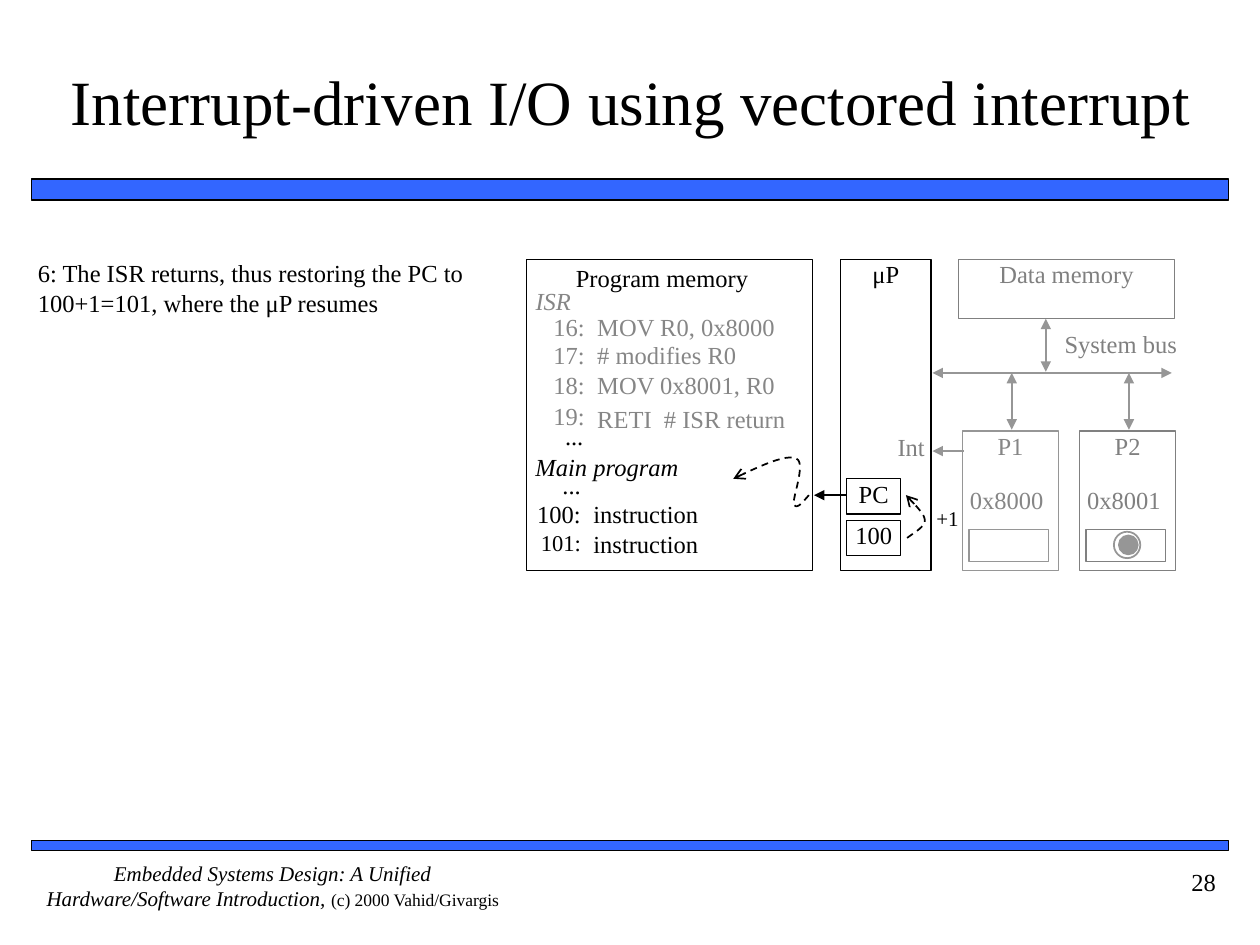
from lxml import etree
from pptx import Presentation
from pptx.dml.color import RGBColor
from pptx.enum.dml import MSO_LINE
from pptx.enum.shapes import MSO_CONNECTOR, MSO_SHAPE
from pptx.enum.text import MSO_ANCHOR, MSO_AUTO_SIZE, PP_ALIGN
from pptx.oxml.ns import qn
from pptx.util import Pt

PX = 9144  # EMU in one px, 100 px to the inch
FACE = "Times New Roman"
BLACK = RGBColor(0x00, 0x00, 0x00)
WHITE = RGBColor(0xFF, 0xFF, 0xFF)
BLUE = RGBColor(0x33, 0x66, 0xFF)
LIGHT = RGBColor(0x96, 0x96, 0x96)
GRAY = RGBColor(0x80, 0x80, 0x80)
SOFT = RGBColor(0x86, 0x86, 0x86)
LEFT, MID, RIGHT = PP_ALIGN.LEFT, PP_ALIGN.CENTER, PP_ALIGN.RIGHT
TOP, CENTER = MSO_ANCHOR.TOP, MSO_ANCHOR.MIDDLE
FIXED = MSO_AUTO_SIZE.NONE
RECT, OVAL = MSO_SHAPE.RECTANGLE, MSO_SHAPE.OVAL
STRAIGHT = MSO_CONNECTOR.STRAIGHT
DASH = MSO_LINE.DASH


def emu(*vals):
    return [round(val * PX) for val in vals]


def put(item, vals):
    for name, val in vals.items():
        setattr(item, name, val)


def write(frame, runs, align=LEFT, inset=(0, 0), before=0, anchor=TOP):
    """Fill a frame with one paragraph of (text, size, colour, italic) runs."""
    side, edge = emu(*inset)
    put(frame, {"word_wrap": True, "auto_size": FIXED, "vertical_anchor": anchor,
                "margin_left": side, "margin_right": side,
                "margin_top": edge, "margin_bottom": edge})
    para = frame.paragraphs[0]
    put(para, {"alignment": align, "space_before": Pt(before)})
    for text, size, color, slant in runs:
        run = para.add_run()
        run.text = text
        put(run.font, {"name": FACE, "size": Pt(size), "italic": slant})
        run.font.color.rgb = color


def label(slide, text, box, color=BLACK, align=LEFT, size=14, slant=False, **form):
    area = slide.shapes.add_textbox(*emu(*box))
    write(area.text_frame, [(text, size, color, slant)], align, **form)


def shape(slide, box, line, fill=None, width=0.75, kind=RECT, text="", color=BLACK):
    item = slide.shapes.add_shape(kind, *emu(*box))
    item.shadow.inherit = False
    if fill is None:
        item.fill.background()
    else:
        item.fill.solid()
        item.fill.fore_color.rgb = fill
    item.line.color.rgb = line
    item.line.width = Pt(width)
    if text:
        write(item.text_frame, [(text, 14, color, False)], MID)


def tip(item, ends, kind):
    """Add arrowheads; ends holds "head", "tail" or both, in that order."""
    node = item._element.spPr.find(qn("a:ln"))
    for end in ends:
        etree.SubElement(node, qn(f"a:{end}End"), type=kind)


def arrow(slide, start, stop, color, width=1.25, ends=("head", "tail")):
    link = slide.shapes.add_connector(STRAIGHT, *emu(*start, *stop))
    link.line.color.rgb = color
    link.line.width = Pt(width)
    tip(link, ends, "triangle")
    etree.SubElement(link._element.spPr, qn("a:effectLst"))


def curve(slide, start, parts, steps=12):
    """Draw a dashed arrow along cubic Bezier parts, each of three points."""
    dots, last = [], start
    for one, two, stop in parts:
        for step in range(1, steps + 1):
            t = step / steps
            u = 1 - t
            dots.append(emu(*(
                u**3 * a + 3 * u * u * t * b + 3 * u * t * t * c + t**3 * d
                for a, b, c, d in zip(last, one, two, stop))))
        last = stop
    build = slide.shapes.build_freeform(*emu(*start))
    build.add_line_segments(dots, close=False)
    item = build.convert_to_shape()
    item.shadow.inherit = False
    item.fill.background()
    item.line.color.rgb = BLACK
    put(item.line, {"width": Pt(1), "dash_style": DASH})
    tip(item, ["tail"], "arrow")


def frame(slide):
    """Add the title, the two bars, the footer and the page number."""
    title = slide.shapes.title
    left, top, wide, high = emu(42, 17, 917, 125)
    put(title, {"left": left, "top": top, "width": wide, "height": high})
    write(title.text_frame,
          [("Interrupt-driven I/O using vectored interrupt", 36, BLACK, False)],
          MID, (0, 5), anchor=CENTER)
    for top, high in ((142, 17), (667, 8)):
        shape(slide, (25, top, 950, high), BLACK, BLUE, 1)
    foot = slide.shapes.add_textbox(*emu(25, 683, 383, 50))
    write(foot.text_frame, [
        ("Embedded Systems Design: A Unified Hardware/Software Introduction, ",
         12, BLACK, True),
        ("(c) 2000 Vahid/Givargis", 10, BLACK, False)], MID)
    label(slide, "28", (875, 683, 100, 50), align=RIGHT, inset=(10, 5), before=8.8)


def code(slide):
    """Add the program memory with its numbered lines."""
    shape(slide, (418, 206, 227, 247), BLACK, WHITE)
    label(slide, "Program memory", (457, 209, 156, 32))
    label(slide, "ISR", (425, 227, 49, 34), SOFT, slant=True)
    label(slide, "Main program", (425, 359, 133, 33), slant=True)
    for right, top in ((463, 334), (461, 373)):
        label(slide, "...", (right - 29, top, 29, 25), align=RIGHT)
    rows = (
        ("16:", 464, 248, 14, "MOV R0, 0x8000", 474, 248, SOFT),
        ("17:", 464, 270, 14, "# modifies R0", 474, 270, SOFT),
        ("18:", 464, 294, 14, "MOV 0x8001, R0", 474, 294, SOFT),
        ("19:", 464, 318, 14, "RETI  # ISR return", 474, 321, SOFT),
        ("100:", 461, 396, 14, "instruction", 471, 396, BLACK),
        ("101:", 461, 420, 12.9, "instruction", 471, 420, BLACK),
    )
    for mark, right, high, size, text, left, top, color in rows:
        label(slide, mark, (right - 42, high, 42, 25), color, RIGHT, size)
        label(slide, text, (left, top, 170, 26), color)


def core(slide):
    """Add the processor with its registers and its arrows."""
    shape(slide, (667, 206, 72, 247), BLACK, WHITE, text="μP")
    for text, top in (("PC", 380), ("100", 413)):
        shape(slide, (672, top, 43, 28), BLACK, WHITE, text=text)
    arrow(slide, (672, 393), (646, 393), BLACK, ends=["tail"])
    label(slide, "Int", (702, 343, 32, 32), GRAY, RIGHT)
    label(slide, "+1", (738, 401, 28, 20), align=MID, size=12, before=7.5)
    curve(slide, (720, 427), (
        ((722, 425), (735, 418), (734, 413)),
        ((734, 407), (722, 397), (719, 393))))
    curve(slide, (642, 393), (
        ((637, 399), (632, 405), (630, 400)),
        ((629, 395), (640, 367), (632, 364)),
        ((624, 360), (603, 370), (582, 380))))


def bus(slide):
    """Add the data memory, the system bus and both devices."""
    shape(slide, (761, 206, 171, 47), GRAY, text="Data memory", color=GRAY)
    label(slide, "System bus", (839, 261, 101, 39), GRAY, MID)
    arrow(slide, (740, 296), (930, 296), LIGHT)
    arrow(slide, (830, 253), (830, 295), LIGHT)
    ports = (("P1", "0x8000", LIGHT, SOFT), ("P2", "0x8001", GRAY, GRAY))
    for spot, (name, place, line, color) in enumerate(ports):
        left = 764 + 93 * spot
        shape(slide, (left, 342, 76, 111), line, WHITE, text=name, color=color)
        shape(slide, (left + 5, 420, 63, 26), line, WHITE)
        label(slide, place, (left + 2, 385, 66, 28), color, MID)
        arrow(slide, (left + 39, 296), (left + 39, 341), LIGHT)
    arrow(slide, (765, 358), (740, 358), LIGHT, 0.75, ["tail"])
    shape(slide, (888, 425, 15, 15), LIGHT, LIGHT, 1, OVAL)
    shape(slide, (884, 422, 21, 21), LIGHT, None, 1, OVAL)


def main():
    deck = Presentation()
    deck.slide_width, deck.slide_height = emu(1000, 750)
    slide = deck.slides.add_slide(deck.slide_layouts[5])
    frame(slide)
    label(slide, "6: The ISR returns, thus restoring the PC to 100+1=101, "
          "where the μP resumes", (30, 205, 340, 47), before=8.8)
    code(slide)
    core(slide)
    bus(slide)
    deck.save("out.pptx")


if __name__ == "__main__":
    main()
